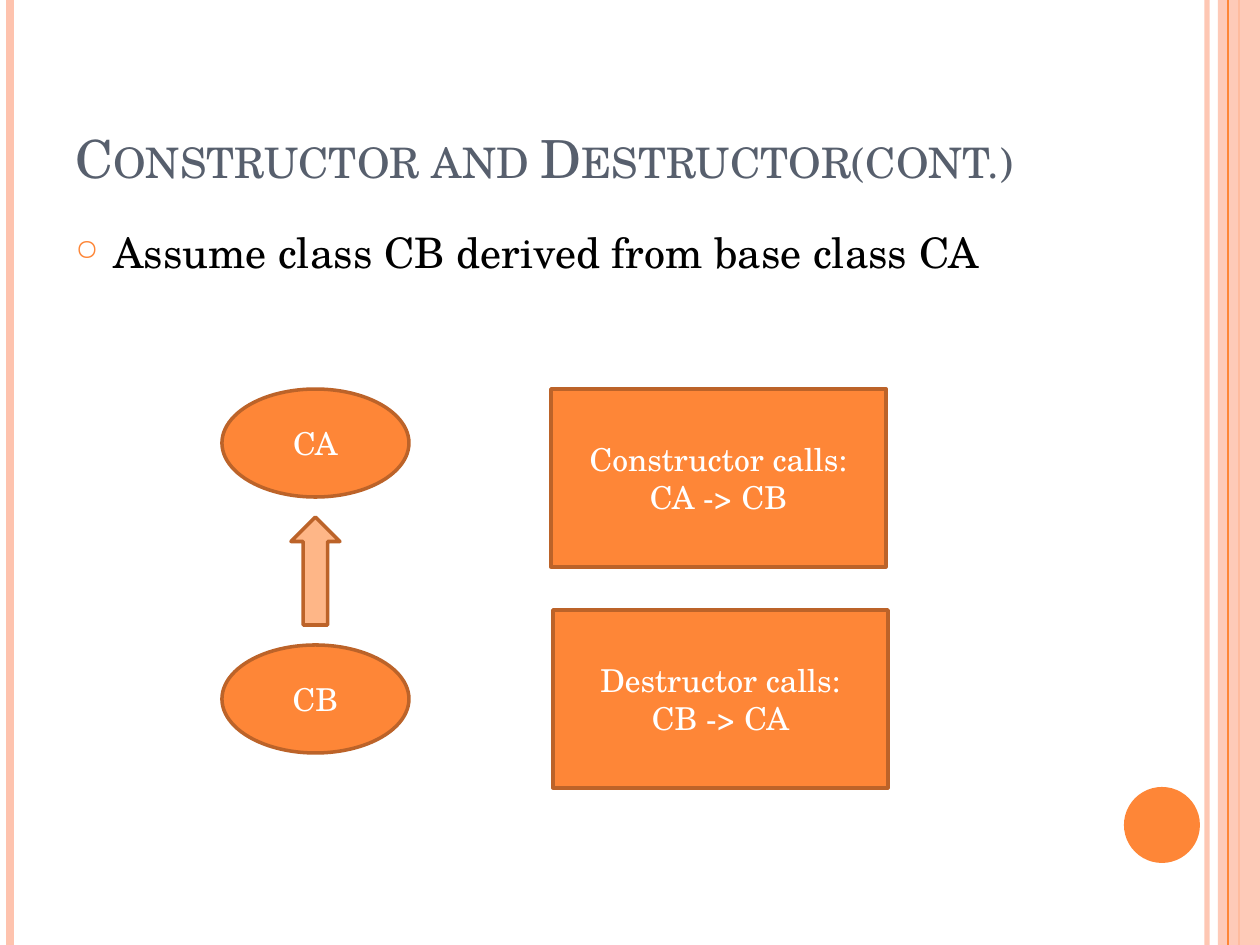
from collections import namedtuple

from lxml.etree import SubElement
from pptx import Presentation
from pptx.dml.color import RGBColor as RGB
from pptx.enum.shapes import MSO_CONNECTOR as CONNECTOR, MSO_SHAPE as SHAPE
from pptx.enum.text import MSO_ANCHOR as ANCHOR, PP_ALIGN as ALIGN
from pptx.oxml.ns import qn
from pptx.util import Pt

Theme = namedtuple(
    "Theme", "font orange edge pale arrow heading ink white title_size body_size label_size"
)
theme = Theme(
    font="TeX Gyre Schola",
    orange=RGB.from_string("FE8637"),
    edge=RGB.from_string("BC6329"),
    pale=RGB.from_string("FEC3AE"),
    arrow=RGB.from_string("FEB687"),
    heading=RGB.from_string("575F6D"),
    ink=RGB.from_string("000000"),
    white=RGB.from_string("FFFFFF"),
    title_size=Pt(30),
    body_size=Pt(24),
    label_size=Pt(18),
)
PX = 914400 / 126


def add_filled(shapes, kind, box, color, edge=None):
    figure = shapes.add_shape(kind, *(round(n * PX) for n in box))
    figure.shadow.inherit = False
    figure.fill.solid()
    figure.fill.fore_color.rgb = color
    if edge is None:
        figure.line.fill.background()
    else:
        figure.line.color.rgb = edge
        figure.line.width = Pt(2)
    return figure


def write_text(holder, text, size, color, align, anchor):
    frame = holder.text_frame
    frame.text = text
    frame.word_wrap = True
    frame.vertical_anchor = anchor
    font_format = {"name": theme.font, "size": size}
    for paragraph in frame.paragraphs:
        paragraph.alignment = align
        for run in paragraph.runs:
            for key, value in font_format.items():
                setattr(run.font, key, value)
            run.font.color.rgb = color
    return frame.paragraphs[0]


prs = Presentation()
prs.slide_width, prs.slide_height = round(1260 * PX), round(945 * PX)
slide = prs.slides.add_slide(prs.slide_layouts[6])
shapes = slide.shapes

stripes = [
    (1207, theme.pale, 3, 93),
    (10, theme.pale, 4.5, 100),
    (1239, theme.orange, 1.5, 100),
    (1228, theme.orange, 0.75, 100),
]
for x, color, width, opacity in stripes:
    if x == 1228:
        band = add_filled(shapes, SHAPE.RECTANGLE, (1218, 0, 42, 945), theme.pale)
        band_color = next(band.fill._xPr.iter(qn("a:srgbClr")))
        SubElement(band_color, qn("a:alpha"), val="87000")
    stripe = shapes.add_connector(
        CONNECTOR.STRAIGHT, round(x * PX), 0, round(x * PX), prs.slide_height
    )
    stripe.line.color.rgb = color
    stripe.line.width = Pt(width)
    properties = stripe._element.spPr
    if opacity < 100:
        stripe_color = next(properties.iter(qn("a:srgbClr")))
        SubElement(stripe_color, qn("a:alpha"), val=str(opacity * 1000))
    SubElement(properties, qn("a:effectLst"))

add_filled(shapes, SHAPE.OVAL, (1124, 787, 76, 76), theme.orange)

title = shapes.add_textbox(*(round(n * PX) for n in (63, 38, 1029, 157)))
heading = write_text(
    title, "Constructor and Destructor(cont.)",
    theme.title_size, theme.heading, ALIGN.LEFT, ANCHOR.BOTTOM,
)
heading.runs[0].font._element.set("cap", "small")

body = shapes.add_textbox(*(round(n * PX) for n in (63, 220, 1029, 672)))
premise = write_text(
    body, "Assume class CB derived from base class CA",
    theme.body_size, theme.ink, ALIGN.LEFT, ANCHOR.TOP,
)
premise.space_before = Pt(6)
bullet = premise._p.get_or_add_pPr()
for key, value in {"marL": round(38 * PX), "indent": -round(38 * PX)}.items():
    bullet.set(key, str(value))
SubElement(SubElement(bullet, qn("a:buClr")), qn("a:srgbClr"), val=str(theme.orange))
SubElement(bullet, qn("a:buSzPct"), val="70000")
SubElement(bullet, qn("a:buChar"), char="○")

inheritance = shapes.add_group_shape().shapes
labelled = [
    (inheritance, SHAPE.OVAL, (222, 389, 187, 108), "CA"),
    (inheritance, SHAPE.OVAL, (222, 645, 187, 108), "CB"),
    (shapes, SHAPE.RECTANGLE, (551, 389, 335, 178), "Constructor calls:\nCA -> CB"),
    (shapes, SHAPE.RECTANGLE, (553, 610, 335, 178), "Destructor calls:\nCB -> CA"),
]
for parent, kind, box, text in labelled:
    figure = add_filled(parent, kind, box, theme.orange, theme.edge)
    write_text(figure, text, theme.label_size, theme.white, ALIGN.CENTER, ANCHOR.MIDDLE)
add_filled(inheritance, SHAPE.UP_ARROW, (291, 517, 49, 108), theme.arrow, theme.edge)

prs.save("out.pptx")
